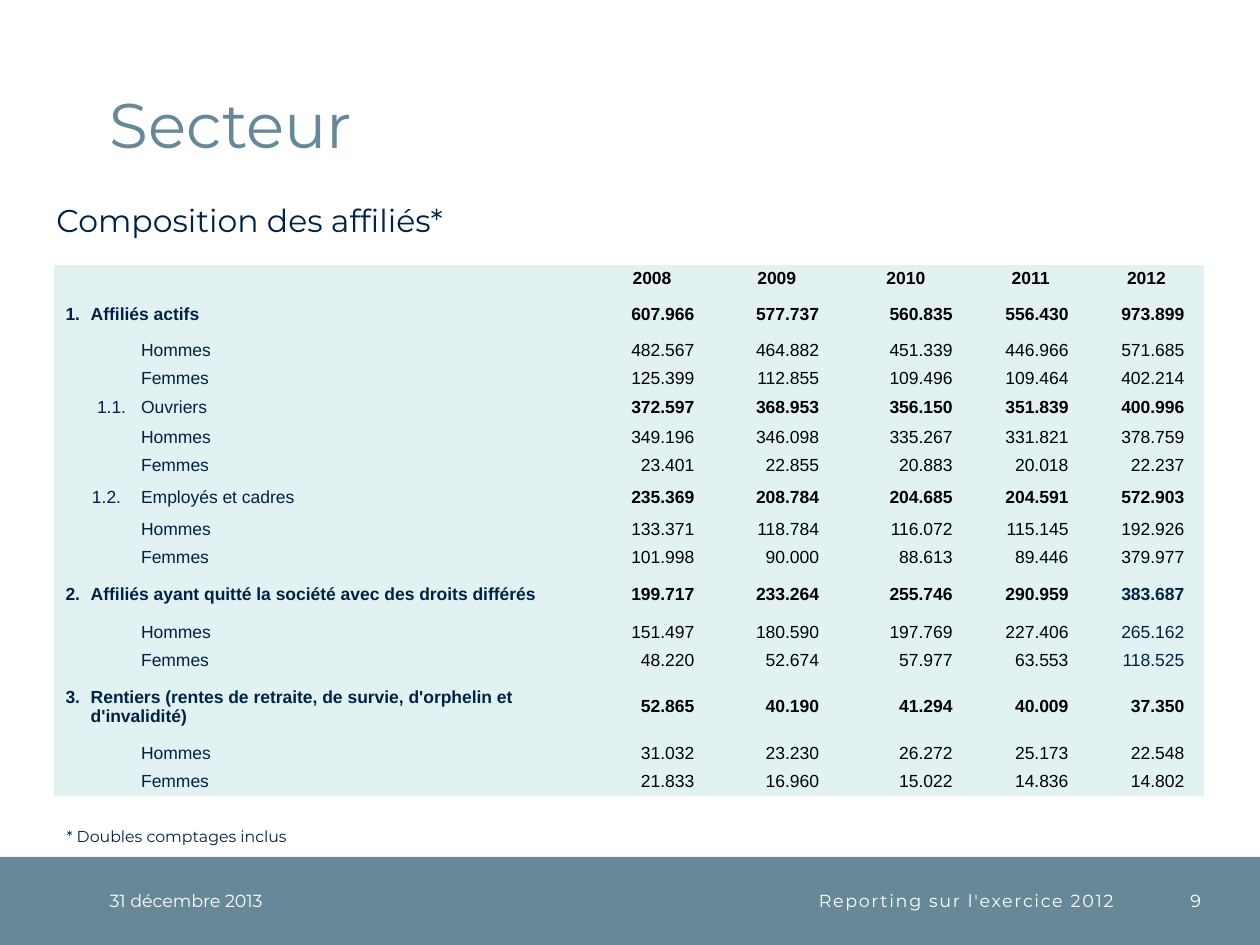
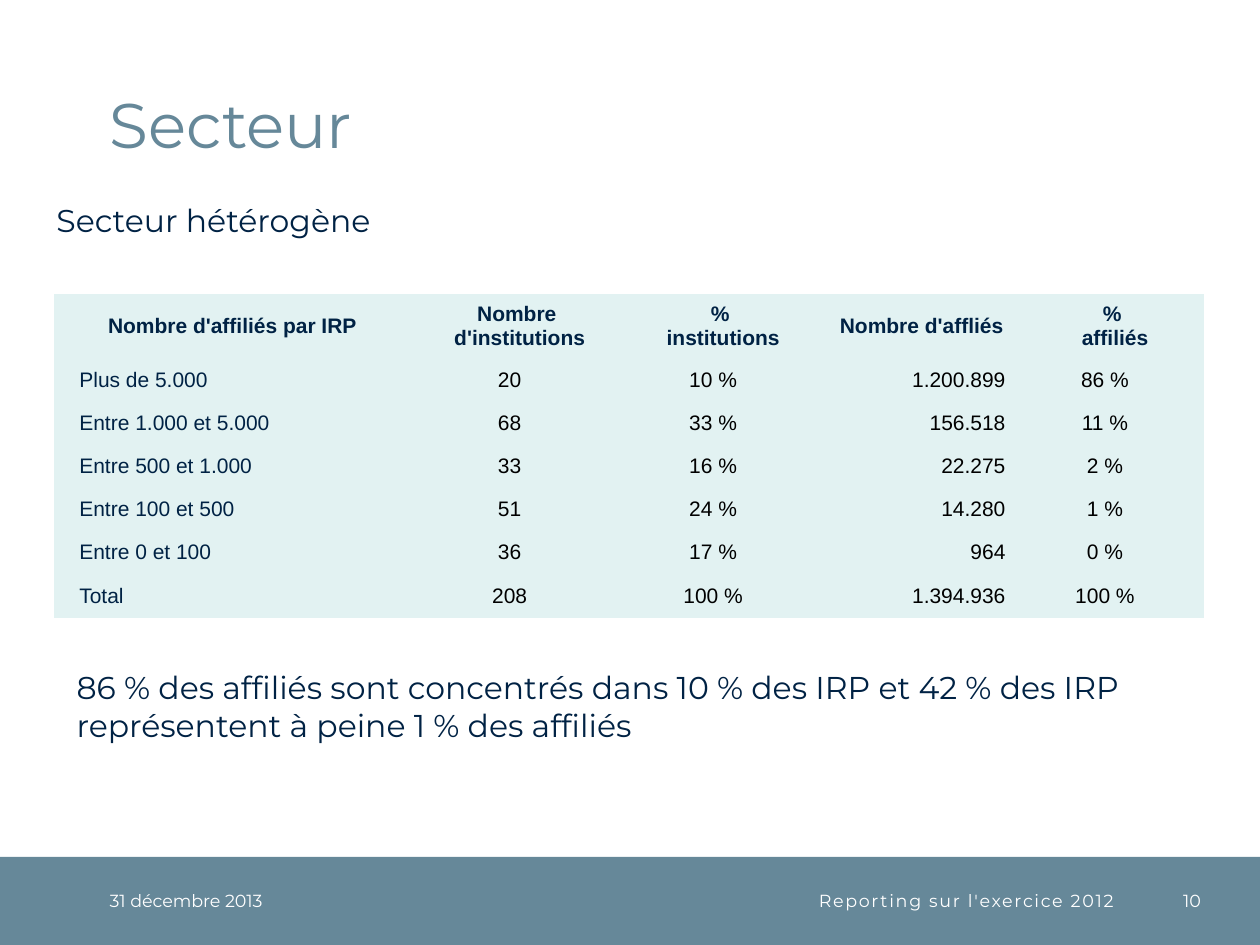
from lxml.etree import SubElement
from pptx import Presentation
from pptx.dml.color import RGBColor
from pptx.enum.shapes import MSO_SHAPE
from pptx.enum.text import MSO_ANCHOR, PP_ALIGN
from pptx.oxml.ns import qn
from pptx.util import Inches, Pt

COLORS = {"band": "668899", "navy": "002244", "black": "000000",
          "white": "FFFFFF", "table": "E2F2F2"}
HEADING_FONT, TABLE_FONT = "Montserrat", "Arial"
LEFT, CENTER, RIGHT = PP_ALIGN.LEFT, PP_ALIGN.CENTER, PP_ALIGN.RIGHT
NO_GRID_STYLE = "{2D5ABB26-0587-4C30-8999-92F81FD0307C}"
NUMBER_INSET = 0.16


def write(frame, text, size, color, font=HEADING_FONT, align=LEFT, bold=False):
    """Fill a text frame, one paragraph per line, and return the last one."""
    for index, line in enumerate(text.split("\n")):
        paragraph = frame.add_paragraph() if index else frame.paragraphs[0]
        paragraph.alignment = align
        if not line:
            SubElement(paragraph._p, qn("a:endParaRPr"), sz=str(size * 100))
            continue
        run = paragraph.add_run()
        run.text = line
        run.font.size = Pt(size)
        run.font.name = font
        run.font.bold = bold
        run.font.color.rgb = RGBColor.from_string(COLORS[color])
    return paragraph


def add_plain_table(slide, top, widths, heights):
    """Add a table with one flat fill, no grid and no cell margins."""
    table = slide.shapes.add_table(
        len(heights), len(widths), Inches(0.43), Inches(top),
        Inches(sum(widths)), Inches(sum(heights))).table
    table.first_row = table.horz_banding = False
    table._tbl.tblPr.find(qn("a:tableStyleId")).text = NO_GRID_STYLE
    for column, width in zip(table.columns, widths):
        column.width = Inches(width)
    for row, height in zip(table.rows, heights):
        row.height = Inches(height)
    for cell in table.iter_cells():
        cell.fill.solid()
        cell.fill.fore_color.rgb = RGBColor.from_string(COLORS["table"])
        cell.vertical_anchor = MSO_ANCHOR.MIDDLE
        cell.margin_left = cell.margin_right = 0
        cell.margin_top = cell.margin_bottom = 0
    return table


presentation = Presentation()
presentation.slide_width, presentation.slide_height = Inches(10), Inches(7.5)

# Title, subtitle, footer band and body text of each slide
slide_texts = [
    ("Composition des affiliés*", "9", "* Doubles comptages inclus",
     (0.43, 6.51, 9.21, 0.25), 9),
    ("Secteur hétérogène", "10",
     "86 % des affiliés sont concentrés dans 10 % des IRP et 42 % des IRP "
     "représentent à peine 1 % des affiliés", (0.51, 5.25, 9.06, 0.71), 18),
]
slides = []
for subtitle, number, body, body_box, body_size in slide_texts:
    slide = presentation.slides.add_slide(presentation.slide_layouts[6])
    slides.append(slide)

    band = slide.shapes.add_shape(MSO_SHAPE.RECTANGLE, 0, Inches(6.8),
                                  Inches(10), Inches(0.7))
    band.shadow.inherit = False
    band.fill.solid()
    band.fill.fore_color.rgb = RGBColor.from_string(COLORS["band"])
    band.line.fill.background()

    # Title and footer texts have no insets
    for text, box, size, color, align, anchor in [
        ("Secteur", (0.87, 0.2, 8.63, 1.08), 36, "band", LEFT, MSO_ANCHOR.BOTTOM),
        ("31 décembre 2013", (0.87, 6.8, 1.77, 0.7), 10, "white", LEFT,
         MSO_ANCHOR.MIDDLE),
        ("Reporting sur l'exercice 2012", (2.64, 6.8, 6.2, 0.7), 10, "white",
         RIGHT, MSO_ANCHOR.MIDDLE),
        (number, (9.04, 6.8, 0.49, 0.7), 10, "white", RIGHT, MSO_ANCHOR.MIDDLE),
    ]:
        frame = slide.shapes.add_textbox(*map(Inches, box)).text_frame
        frame.word_wrap = True
        frame.vertical_anchor = anchor
        frame.margin_left = frame.margin_right = 0
        frame.margin_top = frame.margin_bottom = 0
        paragraph = write(frame, text, size, color, align=align)
        if text == "Secteur":
            paragraph.line_spacing = Pt(32)
        elif text.startswith("Reporting"):
            paragraph.runs[0].font._element.set("spc", "100")

    for text, box, size in [(subtitle, (0.35, 1.55, 9.2, 0.4), 18),
                            (body, body_box, body_size)]:
        frame = slide.shapes.add_textbox(*map(Inches, box)).text_frame
        frame.word_wrap = True
        write(frame, text, size, "navy")

members_slide, sector_slide = slides

# Members by category: label and yearly values
years = "2008 2009 2010 2011 2012".split()
member_rows = [
    ("1.\tAffiliés actifs", "607.966 577.737 560.835 556.430 973.899"),
    ("Hommes", "482.567 464.882 451.339 446.966 571.685"),
    ("Femmes", "125.399 112.855 109.496 109.464 402.214"),
    ("1.1.\tOuvriers", "372.597 368.953 356.150 351.839 400.996"),
    ("Hommes", "349.196 346.098 335.267 331.821 378.759"),
    ("Femmes", "23.401 22.855 20.883 20.018 22.237"),
    ("1.2.\tEmployés et cadres", "235.369 208.784 204.685 204.591 572.903"),
    ("Hommes", "133.371 118.784 116.072 115.145 192.926"),
    ("Femmes", "101.998 90.000 88.613 89.446 379.977"),
    ("2.\tAffiliés ayant quitté la société avec des droits différés",
     "199.717 233.264 255.746 290.959 383.687"),
    ("Hommes", "151.497 180.590 197.769 227.406 265.162"),
    ("Femmes", "48.220 52.674 57.977 63.553 118.525"),
    ("3.\tRentiers (rentes de retraite, de survie, d'orphelin et d'invalidité)",
     "52.865 40.190 41.294 40.009 37.350"),
    ("Hommes", "31.032 23.230 26.272 25.173 22.548"),
    ("Femmes", "21.833 16.960 15.022 14.836 14.802"),
]
# Left margin and first-line indent by item number
indents = {"1.": (0.29, -0.2), "2.": (0.29, -0.2), "3.": (0.29, -0.2),
           "1.1.": (0.69, -0.35), "1.2.": (0.69, -0.39), "": (0.69, 0)}
group_heights = {1: 0.35, 4: 0.24, 7: 0.29, 10: 0.37, 13: 0.52}
row_count = len(member_rows) + 1
plain_height = (4.22 - sum(group_heights.values())) / (row_count - len(group_heights))
table = add_plain_table(
    members_slide, 2.1, [4.25, 0.99, 0.99, 1.06, 0.92, 0.92],
    [group_heights.get(index, plain_height) for index in range(row_count)])

for column, year in enumerate([""] + years):
    write(table.cell(0, column).text_frame, year, 10, "black", TABLE_FONT, CENTER, True)
for row, (label, values) in enumerate(member_rows, 1):
    is_group = "\t" in label
    item = label.split("\t")[0] if is_group else ""
    is_section = item in ("1.", "2.", "3.")
    paragraph = write(table.cell(row, 0).text_frame, label, 10, "navy",
                      TABLE_FONT, bold=is_section)
    margin, indent = indents[item]
    properties = paragraph._p.get_or_add_pPr()
    properties.set("marL", str(Inches(margin)))
    properties.set("indent", str(Inches(indent)))
    for column, value in enumerate(values.split(), 1):
        cell = table.cell(row, column)
        cell.margin_right = Inches(NUMBER_INSET)
        is_navy = column == len(years) and 10 <= row <= 12
        write(cell.text_frame, value, 10, "navy" if is_navy else "black",
              TABLE_FONT, RIGHT, is_group)

# Institutions by number of members
headers = ["Nombre d'affiliés par IRP", "Nombre \nd'institutions",
           "% \ninstitutions", "Nombre d'affliés", "% \naffiliés"]
institution_rows = [
    ("Plus de 5.000", "20", "10 %", "1.200.899", "86 %"),
    ("Entre 1.000 et 5.000", "68", "33 %", "156.518", "11 %"),
    ("Entre 500 et 1.000", "33", "16 %", "22.275", "2 %"),
    ("Entre 100 et 500", "51", "24 %", "14.280", "1 %"),
    ("Entre 0 et 100", "36", "17 %", "964", "0 %"),
    ("Total", "208", "100 %", "1.394.936", "100 %"),
]
alignments = [LEFT, CENTER, CENTER, RIGHT, CENTER]
table = add_plain_table(sector_slide, 2.33, [2.83, 1.73, 1.5, 1.65, 1.42],
                        [0.52] + [0.34] * 5 + [0.36])
for column, header in enumerate(headers):
    write(table.cell(0, column).text_frame, header, 12, "navy", TABLE_FONT, CENTER, True)
for row, values in enumerate(institution_rows, 1):
    for column, (value, align) in enumerate(zip(values, alignments)):
        cell = table.cell(row, column)
        if column:
            cell.margin_right = Inches(NUMBER_INSET)
        paragraph = write(cell.text_frame, value, 12, "black" if column else "navy",
                          TABLE_FONT, align)
        if column == 0:
            paragraph._p.get_or_add_pPr().set("marL", str(Inches(0.2)))

presentation.save("out.pptx")
